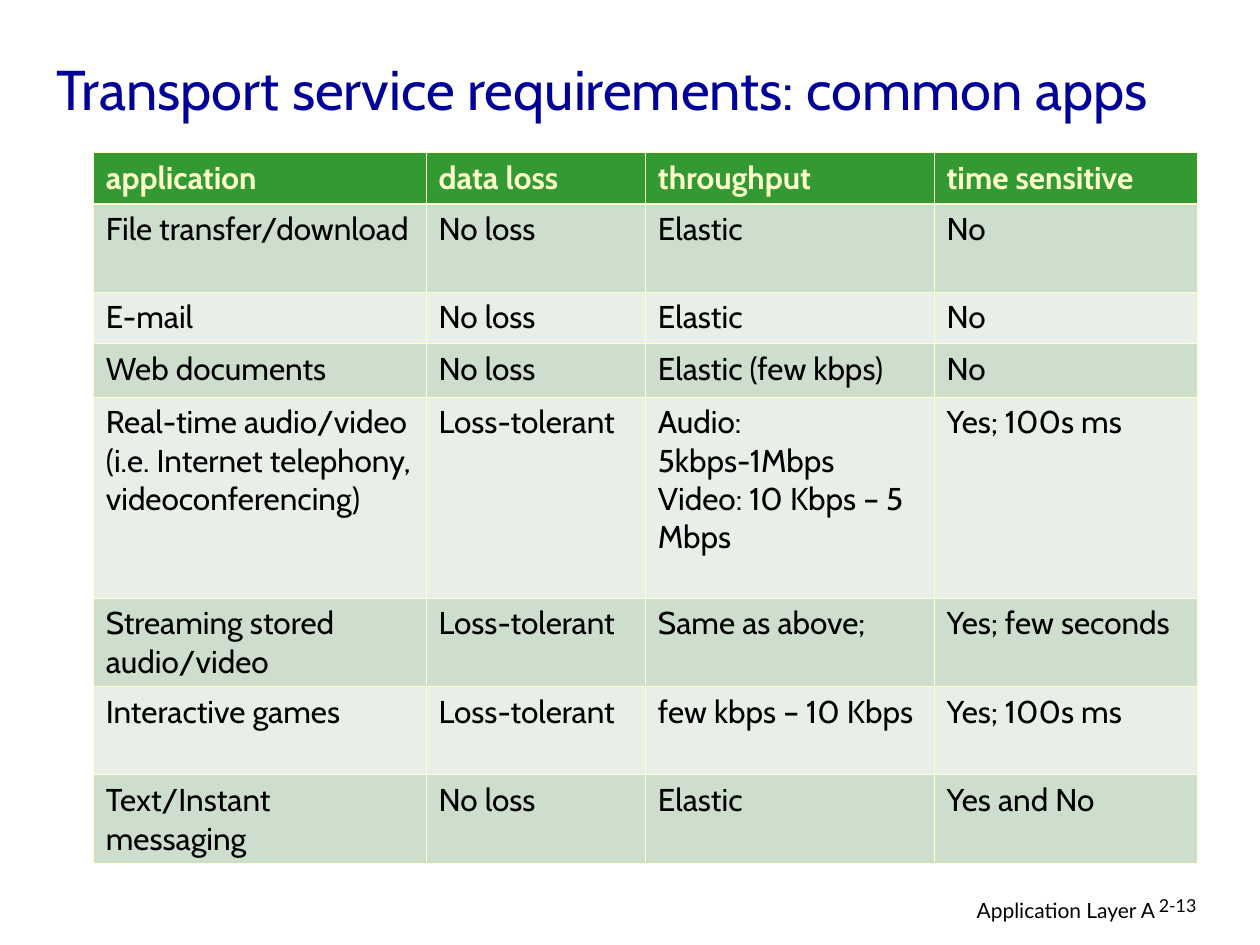
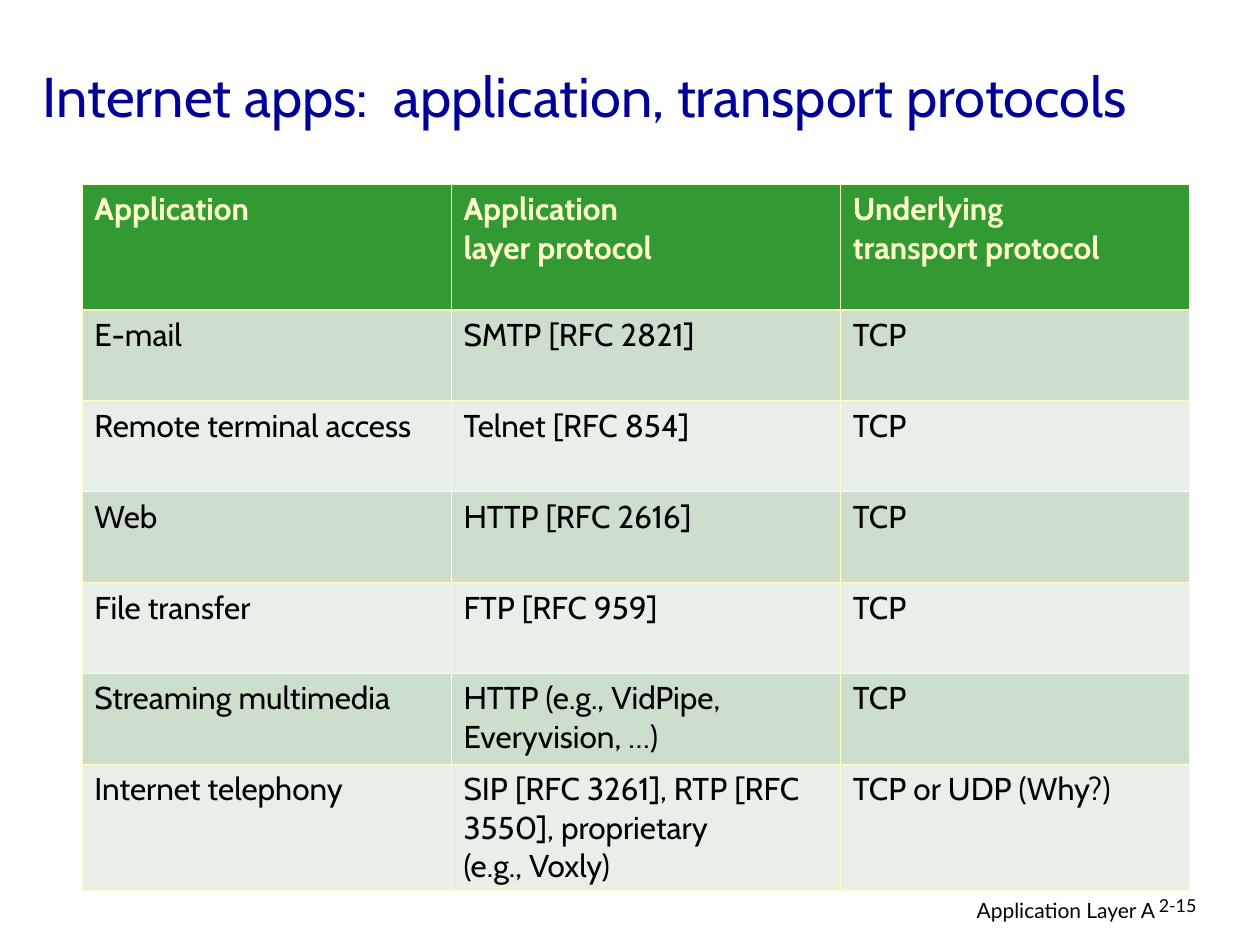
from dataclasses import dataclass

from lxml.etree import SubElement
from pptx import Presentation
from pptx.dml.color import RGBColor
from pptx.enum.text import MSO_ANCHOR as Anchor, MSO_AUTO_SIZE as Fit, PP_ALIGN as Align
from pptx.oxml.ns import qn
from pptx.util import Cm, Pt

NAVY = RGBColor(0x00, 0x00, 0x99)
GREEN = RGBColor(0x33, 0x99, 0x33)
CREAM = RGBColor(0xFF, 0xFF, 0xCC)
SAGE = RGBColor(0xCD, 0xDE, 0xCD)
MIST = RGBColor(0xE8, 0xEF, 0xE8)
BLACK = RGBColor(0x00, 0x00, 0x00)

HEAD_FONT = "Cabin"
FOOT_FONT = "Lato"
THIN, THICK = 0.45, 1.47


@dataclass(frozen=True)
class Box:
    left: float
    top: float
    width: float
    height: float

    def lengths(self) -> tuple:
        return Cm(self.left), Cm(self.top), Cm(self.width), Cm(self.height)


@dataclass(frozen=True)
class Style:
    font: str
    size: float
    color: RGBColor
    bold: bool = False


@dataclass(frozen=True)
class Grid:
    left: float
    top: float
    widths: tuple
    heights: tuple
    rows: tuple

    def box(self) -> Box:
        return Box(self.left, self.top, sum(self.widths), sum(self.heights))


@dataclass(frozen=True)
class Page:
    title: str
    place: Box
    number: str
    grid: Grid


TITLE = Style(HEAD_FONT, 32, NAVY)
HEADER = Style(HEAD_FONT, 18, CREAM, True)
BODY = Style(HEAD_FONT, 18, BLACK)
FOOTER = Style(FOOT_FONT, 12, BLACK)
NUMBER = Style(FOOT_FONT, 10.2, BLACK)

FOOT_BOX = Box(15.49, 17.96, 8.05, 0.79)
NUM_BOX = Box(23.11, 17.96, 1.88, 0.76)

# A tuple in a cell holds paragraphs; a newline is a break within one.
NEEDS = (
    ("application", "data loss", "throughput", "time sensitive"),
    ("File transfer/download", "No loss", "Elastic", "No"),
    ("E-mail", "No loss", "Elastic", "No"),
    ("Web documents", "No loss", "Elastic (few kbps)", "No"),
    ("Real-time audio/video\n(i.e. Internet telephony, videoconferencing)",
     "Loss-tolerant", "Audio: 5kbps-1Mbps\nVideo: 10 Kbps – 5 Mbps", "Yes; 100s ms"),
    ("Streaming stored audio/video", "Loss-tolerant", "Same as above;",
     "Yes; few seconds"),
    ("Interactive games", "Loss-tolerant", "few kbps – 10 Kbps", "Yes; 100s ms"),
    ("Text/Instant messaging", "No loss", "Elastic", "Yes and No"),
)

PROTOCOLS = (
    ("Application", ("Application", "layer protocol"),
     ("Underlying", "transport protocol")),
    ("E-mail", "SMTP [RFC 2821]", "TCP"),
    ("Remote terminal access", "Telnet [RFC 854]", "TCP"),
    ("Web", "HTTP [RFC 2616]", "TCP"),
    ("File transfer", "FTP [RFC 959]", "TCP"),
    ("Streaming multimedia", "HTTP (e.g., VidPipe, Everyvision, …)", "TCP"),
    ("Internet telephony",
     ("SIP [RFC 3261], RTP [RFC 3550], proprietary", "(e.g., Voxly)"),
     "TCP or UDP (Why?)"),
)

PAGES = (
    Page("Transport service requirements: common apps",
         Box(0.89, 0.64, 22.78, 2.26), "2-13",
         Grid(1.88, 3.07, (6.71, 4.42, 5.82, 5.31),
              (1.04, 1.78, 1.04, 1.07, 4.06, 1.78, 1.78, 1.78), NEEDS)),
    Page("Internet apps:  application, transport protocols",
         Box(0.61, 0.74, 24.31, 2.34), "2-15",
         Grid(1.65, 3.71, (7.44, 7.85, 7.04),
              (2.54, *[1.83] * 5, 2.54), PROTOCOLS)),
)


def write(frame, text: str | tuple, style: Style, align=Align.LEFT, spacing=None) -> None:
    paras = text if isinstance(text, tuple) else (text,)
    for i, words in enumerate(paras):
        para = frame.add_paragraph() if i else frame.paragraphs[0]
        para.alignment = align
        if spacing:
            para.line_spacing = spacing
        for j, line in enumerate(words.split("\n")):
            if j:
                para.add_line_break()
            run = para.add_run()
            run.text = line
            font = run.font
            font.name, font.size, font.bold = style.font, Pt(style.size), style.bold
            font.color.rgb = style.color


def add_label(slide, box: Box, text: str, style: Style, align, spacing=None) -> None:
    frame = slide.shapes.add_textbox(*box.lengths()).text_frame
    frame.word_wrap = True
    write(frame, text, style, align, spacing)


def add_title(slide, page: Page) -> None:
    title = slide.shapes.title
    title.left, title.top, title.width, title.height = page.place.lengths()
    frame = title.text_frame
    frame.auto_size = Fit.NONE
    frame.vertical_anchor = Anchor.MIDDLE
    write(frame, page.title, TITLE)


def set_edges(cell, row: int) -> None:
    """Draw cream cell borders, with a thick line under the header row."""
    props = cell._tc.get_or_add_tcPr()
    top = THICK if row == 1 else THIN
    base = THICK if row == 0 else THIN
    for side, width in zip("LRTB", (THIN, THIN, top, base)):
        line = SubElement(props, qn(f"a:ln{side}"), w=str(Pt(width)))
        fill = SubElement(line, qn("a:solidFill"))
        SubElement(fill, qn("a:srgbClr"), val=str(CREAM))


def add_grid(slide, grid: Grid) -> None:
    table = slide.shapes.add_table(
        len(grid.rows), len(grid.widths), *grid.box().lengths()).table
    for col, width in zip(table.columns, grid.widths):
        col.width = Cm(width)
    for row, height in zip(table.rows, grid.heights):
        row.height = Cm(height)
    for r, texts in enumerate(grid.rows):
        shade = (MIST, SAGE)[r % 2] if r else GREEN
        for c, text in enumerate(texts):
            cell = table.cell(r, c)
            set_edges(cell, r)
            cell.fill.solid()
            cell.fill.fore_color.rgb = shade
            write(cell.text_frame, text, BODY if r else HEADER)


def add_page(deck, page: Page) -> None:
    slide = deck.slides.add_slide(deck.slide_layouts.get_by_name("Title Only"))
    add_label(slide, FOOT_BOX, "Application Layer A", FOOTER, Align.RIGHT)
    add_label(slide, NUM_BOX, page.number, NUMBER, Align.LEFT, 0.9)
    add_title(slide, page)
    add_grid(slide, page.grid)


def main() -> None:
    deck = Presentation()
    deck.slide_width, deck.slide_height = Cm(25.4), Cm(19.05)
    for page in PAGES:
        add_page(deck, page)
    deck.save("out.pptx")


if __name__ == "__main__":
    main()
